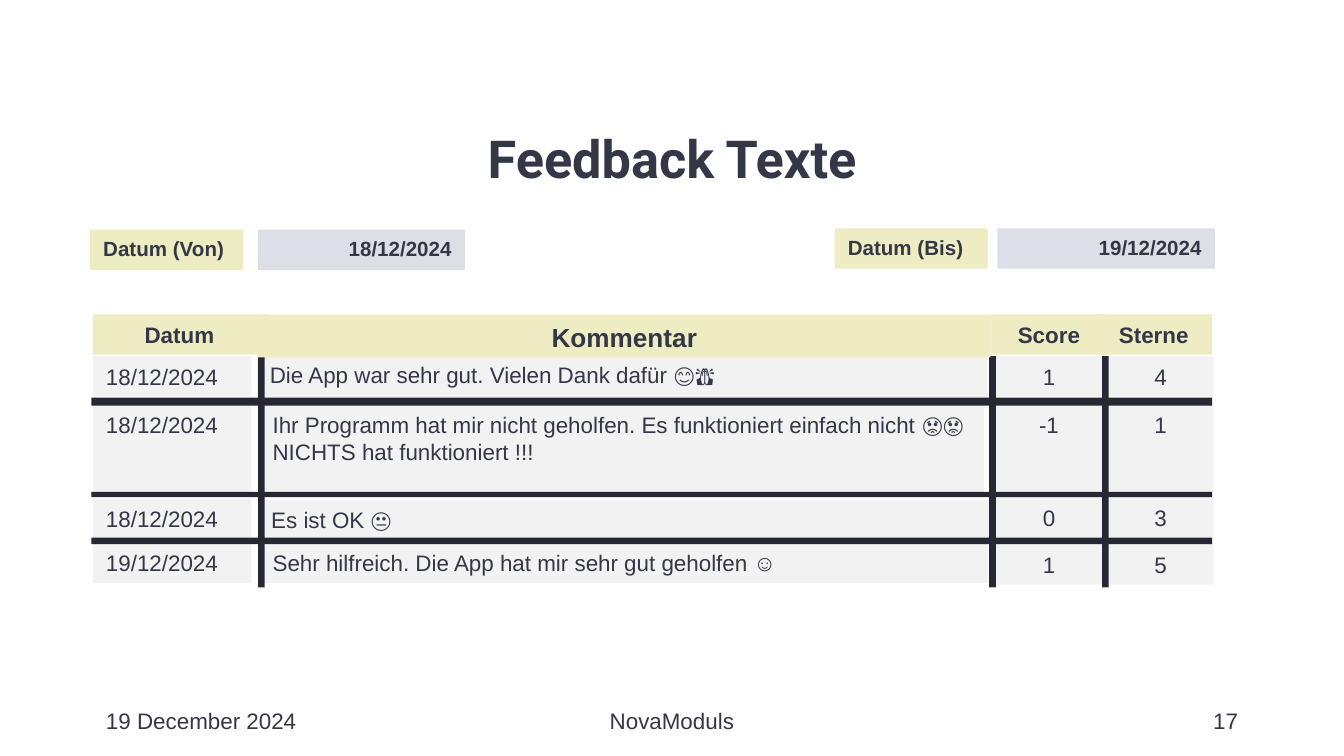
from dataclasses import dataclass

from pptx import Presentation
from pptx.dml.color import RGBColor
from pptx.enum.shapes import MSO_SHAPE
from pptx.enum.text import MSO_ANCHOR, PP_ALIGN
from pptx.slide import Slide
from pptx.text.text import TextFrame
from pptx.util import Inches, Pt

RECTANGLE = MSO_SHAPE.RECTANGLE
TOP, MIDDLE = MSO_ANCHOR.TOP, MSO_ANCHOR.MIDDLE
LEFT, CENTER, RIGHT = PP_ALIGN.LEFT, PP_ALIGN.CENTER, PP_ALIGN.RIGHT

COLORS = {
    "text": "333746",
    "label": "EEECC2",
    "field": "DDDFE6",
    "cell": "F2F2F2",
    "rule": "262934",
}


@dataclass(frozen=True)
class Area:
    left: float
    top: float
    width: float
    height: float

    def lengths(self) -> list[Inches]:
        return [Inches(n) for n in (self.left, self.top, self.width, self.height)]


@dataclass(frozen=True)
class Style:
    size: float = 12
    bold: bool = False
    align: PP_ALIGN = LEFT
    font: str = "Arial"
    line_spacing: float = 1.0


@dataclass(frozen=True)
class Heading:
    text: str
    area: Area
    size: float = 12


@dataclass(frozen=True)
class Feedback:
    date: str
    date_top: float
    comment: str
    comment_area: Area
    score: str
    stars: str
    score_top: float
    height: float = 0.3


HEADINGS = [
    Heading("Datum", Area(0.69, 2.34, 1.29, 0.3)),
    Heading("Kommentar", Area(1.92, 2.34, 5.45, 0.32), 14),
    Heading("Score", Area(7.37, 2.34, 0.87, 0.3)),
    Heading("Sterne", Area(8.15, 2.34, 0.87, 0.3)),
]
FEEDBACKS = [
    Feedback("18/12/2024", 2.65, "Die App war sehr gut. Vielen Dank dafür 😊🙏",
             Area(1.91, 2.64, 5.44, 0.33), "1", "4", 2.65),
    Feedback("18/12/2024", 3.01,
             "Ihr Programm hat mir nicht geholfen. Es funktioniert einfach nicht 😡😡\n"
             "NICHTS hat funktioniert !!!",
             Area(1.93, 3.01, 5.39, 0.65), "-1", "1", 3.01, 0.65),
    Feedback("18/12/2024", 3.71, "Es ist OK 😐",
             Area(1.92, 3.72, 5.83, 0.32), "0", "3", 3.7),
    Feedback("19/12/2024", 4.04, "Sehr hilfreich. Die App hat mir sehr gut geholfen ☺",
             Area(1.93, 4.04, 5.42, 0.3), "1", "5", 4.05),
]
ROW_RULES = [(2.96, 0.06), (3.66, 0.04), (4.0, 0.05)]
COLUMN_RULES = [1.92, 7.36, 8.2]

FILTERS = [
    (Area(0.67, 1.71, 1.14, 0.3), "Datum (Von)", "label", LEFT),
    (Area(1.92, 1.71, 1.54, 0.3), "18/12/2024", "field", RIGHT),
    (Area(6.21, 1.7, 1.14, 0.3), "Datum (Bis)", "label", LEFT),
    (Area(7.42, 1.7, 1.62, 0.3), "19/12/2024", "field", RIGHT),
]
FOOTERS = [
    (Area(0.69, 5.21, 2.25, 0.3), "19 December 2024", LEFT),
    (Area(3.31, 5.21, 3.38, 0.3), "NovaModuls", CENTER),
    (Area(7.06, 5.21, 2.25, 0.3), "17", RIGHT),
]


def write(frame: TextFrame, text: str, style: Style, anchor: MSO_ANCHOR) -> None:
    """Fill the frame with one paragraph for each line of text."""
    frame.word_wrap = True
    frame.vertical_anchor = anchor
    for index, line in enumerate(text.split("\n")):
        para = frame.add_paragraph() if index else frame.paragraphs[0]
        para.alignment = style.align
        para.line_spacing = style.line_spacing
        span = para.add_run()
        span.text = line
        span.font.name = style.font
        span.font.size = Pt(style.size)
        span.font.bold = style.bold
        span.font.color.rgb = RGBColor.from_string(COLORS["text"])


def add_box(page: Slide, area: Area, color: str, text: str = "", style: Style = Style()) -> None:
    box = page.shapes.add_shape(RECTANGLE, *area.lengths())
    box.shadow.inherit = False
    box.fill.solid()
    box.fill.fore_color.rgb = RGBColor.from_string(COLORS[color])
    box.line.fill.background()
    if text:
        write(box.text_frame, text, style, TOP)


def add_text(page: Slide, area: Area, text: str, style: Style,
             anchor: MSO_ANCHOR, inset: float = 0.05) -> None:
    frame = page.shapes.add_textbox(*area.lengths()).text_frame
    frame.margin_top = frame.margin_bottom = Inches(inset)
    write(frame, text, style, anchor)


def add_feedback(page: Slide, entry: Feedback) -> None:
    add_box(page, entry.comment_area, "cell", entry.comment)
    add_box(page, Area(0.69, entry.date_top, 1.18, entry.height), "cell", entry.date)
    for left, number in ((7.41, entry.score), (8.24, entry.stars)):
        area = Area(left, entry.score_top, 0.79, entry.height)
        add_box(page, area, "cell", number, Style(align=CENTER))


def add_feedback_grid(page: Slide) -> None:
    for entry in FEEDBACKS:
        add_feedback(page, entry)
    for top, height in ROW_RULES:
        add_box(page, Area(0.68, top, 8.34, height), "rule")
    for left in COLUMN_RULES:
        add_box(page, Area(left, 2.65, 0.05, 1.72), "rule")
    for heading in HEADINGS:
        add_box(page, heading.area, "label", heading.text, Style(heading.size, True, CENTER))


def main() -> None:
    deck = Presentation()
    deck.slide_width = Inches(10)
    deck.slide_height = Inches(10) * 9 // 16
    page = deck.slides.add_slide(deck.slide_layouts[6])
    add_text(page, Area(0.78, 0.77, 8.44, 0.7), "Feedback Texte",
             Style(28, True, CENTER, "Roboto", 1.15), TOP, 0.1)
    for area, text, color, align in FILTERS:
        add_box(page, area, color, text, Style(11, True, align))
    add_feedback_grid(page)
    for area, text, align in FOOTERS:
        add_text(page, area, text, Style(align=align), MIDDLE)
    deck.save("out.pptx")


if __name__ == "__main__":
    main()
